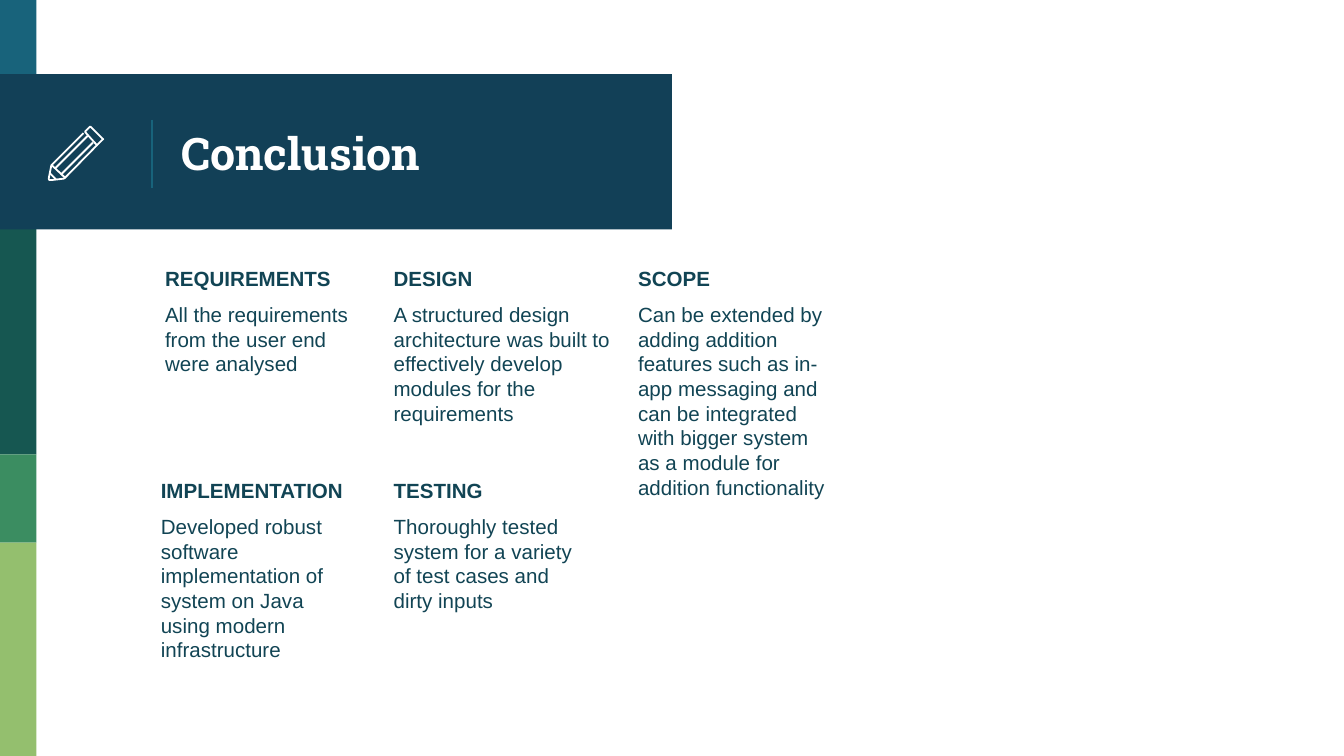
from pptx import Presentation
from pptx.dml.color import RGBColor
from pptx.enum.shapes import MSO_CONNECTOR, MSO_SHAPE
from pptx.enum.text import MSO_ANCHOR, MSO_AUTO_SIZE, PP_ALIGN
from pptx.oxml.ns import qn
from pptx.util import Cm, Pt
from lxml import etree

BLUE = RGBColor(0x18, 0x63, 0x7B)
NAVY = RGBColor(0x12, 0x40, 0x57)
TEAL = RGBColor(0x16, 0x57, 0x51)
GREEN = RGBColor(0x3B, 0x8D, 0x61)
LIME = RGBColor(0x94, 0xBF, 0x6E)
INK = RGBColor(0x11, 0x44, 0x54)
WHITE = RGBColor(0xFF, 0xFF, 0xFF)

# Pencil strokes on a 41 x 41 grid: (points, closed)
PENCIL_GRID = 41
PENCIL = [
    ([(40, 9), (32, 1), (31, 0), (30, 1), (27, 4), (36, 14), (40, 10), (40.6, 9.5)], True),
    ([(33, 12), (9, 36)], False),
    ([(26, 5), (2, 29), (0, 39), (0.5, 40), (2, 40), (11, 39), (12, 38.5), (36, 14)], False),
    ([(5, 31), (29, 7)], False),
    ([(5.5, 39.5), (1, 35)], False),
    ([(2, 29), (3, 29.5), (11.5, 37.5), (12, 38.5)], False),
]

# Heading, body, left, top, width (cm)
ROW_1, ROW_2 = 4.78, 8.79
NOTES = [
    ("REQUIREMENTS", "All the requirements from the user end were analysed", 2.87, ROW_1, 4.11),
    ("DESIGN", "A structured design architecture was built to effectively develop "
     "modules for the requirements", 7.19, ROW_1, 4.62),
    ("IMPLEMENTATION", "Developed robust software implementation of system on Java "
     "using modern infrastructure", 2.79, ROW_2, 4.11),
    ("TESTING", "Thoroughly tested system for a variety of test cases and dirty inputs",
     7.19, ROW_2, 4.11),
    ("SCOPE", "Can be extended by adding addition features such as in-app messaging "
     "and can be integrated with bigger system as a module for addition functionality",
     11.81, ROW_1, 4.11),
]


def add_block(s, x, y, w, h, color):
    sp = s.shapes.add_shape(MSO_SHAPE.RECTANGLE, Cm(x), Cm(y), Cm(w), Cm(h))
    sp.shadow.inherit = False
    sp.fill.solid()
    sp.fill.fore_color.rgb = color
    sp.line.fill.background()


def write(p, text, size=11, font="Arial", color=INK, bold=False, before=6):
    p.alignment = PP_ALIGN.LEFT
    p.space_before = Pt(before)
    r = p.add_run()
    r.text = text
    r.font.size, r.font.name, r.font.bold = Pt(size), font, bold
    r.font.color.rgb = color


def set_frame(tf, anchor=MSO_ANCHOR.TOP):
    tf.word_wrap = True
    tf.auto_size = MSO_AUTO_SIZE.NONE
    tf.vertical_anchor = anchor
    tf.margin_left = tf.margin_right = tf.margin_top = tf.margin_bottom = Cm(0.25)


def add_sidebar(s, x, y, w):
    # Each stripe: offset from the top, height, colour
    for top, h, color in [(0, 1.47, BLUE), (4.32, 4.27, TEAL),
                          (8.59, 1.67, GREEN), (10.26, 4.03, LIME)]:
        add_block(s, x, y + top, w, h, color)


def add_pencil(s, x, y, size):
    unit = size / PENCIL_GRID
    for points, closed in PENCIL:
        pts = [(Cm(x + px * unit), Cm(y + py * unit)) for px, py in points]
        fb = s.shapes.build_freeform(*pts[0])
        fb.add_line_segments(pts[1:], close=closed)
        sp = fb.convert_to_shape()
        sp.shadow.inherit = False
        sp.fill.background()
        sp.line.color.rgb = WHITE
        sp.line.width = Pt(0.96)


def add_header(s, x, y, w, h):
    add_block(s, x, y, w, h, NAVY)
    # Divider between icon and title
    line = s.shapes.add_connector(MSO_CONNECTOR.STRAIGHT, Cm(x + 2.87), Cm(y + 0.86),
                                  Cm(x + 2.87), Cm(y + 2.16))
    line.line.color.rgb = BLUE
    line.line.width = Pt(0.75)
    etree.SubElement(line.element.spPr, qn("a:effectLst"))
    # Title, raised above the band
    title = s.shapes.title
    title.left, title.top = Cm(x + 3.18), Cm(y + 0.07)
    title.width, title.height = Cm(8.92), Cm(2.84)
    set_frame(title.text_frame, MSO_ANCHOR.MIDDLE)
    write(title.text_frame.paragraphs[0], "Conclusion", size=24,
          font="Roboto Slab", color=WHITE, bold=True, before=0)
    s.shapes.element.append(title.element)
    add_pencil(s, x + 0.92, y + 0.99, 1.04)


def add_note(s, heading, body, x, y, w, h=3.07):
    tf = s.shapes.add_textbox(Cm(x), Cm(y), Cm(w), Cm(h)).text_frame
    set_frame(tf)
    write(tf.paragraphs[0], heading, bold=True)
    write(tf.add_paragraph(), body)


def main():
    prs = Presentation()
    prs.slide_width, prs.slide_height = Cm(25.4), Cm(14.29)
    s = prs.slides.add_slide(prs.slide_layouts[5])
    add_sidebar(s, 0, 0, 0.69)
    add_header(s, 0, 1.4, 12.7, 2.94)
    for note in NOTES:
        add_note(s, *note)
    prs.save("out.pptx")


if __name__ == "__main__":
    main()
